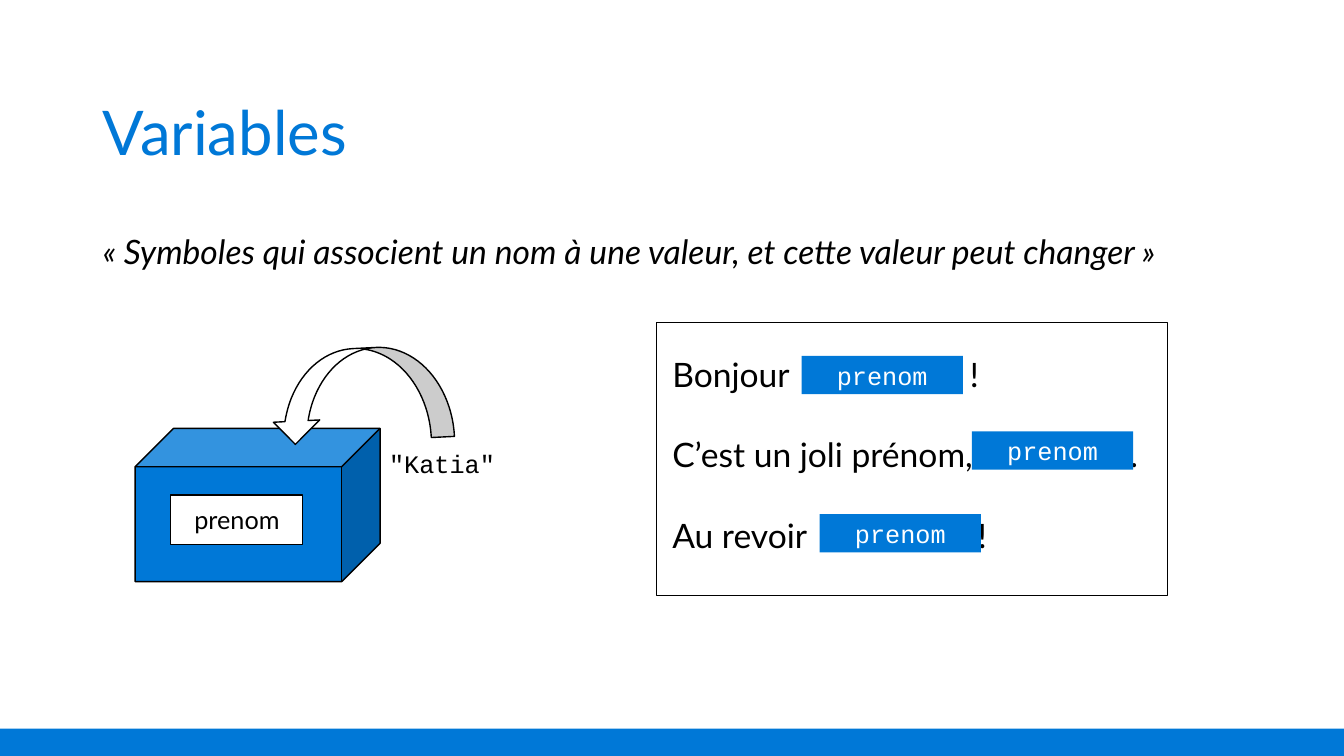
from lxml.etree import SubElement
from pptx import Presentation
from pptx.dml.color import RGBColor
from pptx.enum.shapes import MSO_SHAPE
from pptx.enum.text import MSO_ANCHOR, MSO_AUTO_SIZE, PP_ALIGN
from pptx.oxml.ns import qn
from pptx.util import Inches, Pt

BLUE, BLACK, WHITE = "0078D7", "000000", "FFFFFF"
LATO, MONO = "Lato", "Courier New"


def color(value):
    return RGBColor.from_string(value)


def format_paragraph(paragraph, size, font_name, text_color, italic=False):
    for run in paragraph.runs:
        run.font.size = Pt(size)
        run.font.name = font_name
        run.font.italic = italic
        run.font.color.rgb = color(text_color)


def fill_placeholder(placeholder, box, text, size, text_color, anchor, italic=False):
    placeholder.left, placeholder.top, placeholder.width, placeholder.height = map(Inches, box)
    frame = placeholder.text_frame
    frame.text = text
    frame.auto_size = MSO_AUTO_SIZE.NONE
    frame.vertical_anchor = anchor
    paragraph = frame.paragraphs[0]
    paragraph.alignment = PP_ALIGN.LEFT
    paragraph.line_spacing = 0.9
    format_paragraph(paragraph, size, LATO, text_color, italic)
    return paragraph


def remove_bullet(paragraph):
    properties = paragraph._p.get_or_add_pPr()
    properties.set("marL", "0")
    properties.set("indent", "0")
    SubElement(properties, qn("a:buNone"))


def add_tab_stop(paragraph, position):
    tabs = SubElement(paragraph._p.get_or_add_pPr(), qn("a:tabLst"))
    SubElement(tabs, qn("a:tab"), pos=str(Inches(position)), algn="l")


def add_figure(slide, kind, box, fill, outlined=True, rotation=0):
    shape = slide.shapes.add_shape(kind, *map(Inches, box))
    shape.shadow.inherit = False
    shape.rotation = rotation
    shape.fill.solid()
    shape.fill.fore_color.rgb = color(fill)
    if outlined:
        shape.line.color.rgb = color(BLACK)
        shape.line.width = Pt(1)
    else:
        shape.line.fill.background()
    return shape


def add_text(slide, box, text, size, font_name):
    frame = slide.shapes.add_textbox(*map(Inches, box)).text_frame
    frame.word_wrap = True
    frame.text = text
    for paragraph in frame.paragraphs:
        format_paragraph(paragraph, size, font_name, BLACK)
    return frame


def add_variable_tag(slide, left, top):
    tag = add_figure(slide, MSO_SHAPE.RECTANGLE, (left, top, 1.6, 0.38), BLUE, outlined=False)
    frame = tag.text_frame
    frame.text = "prenom"
    frame.vertical_anchor = MSO_ANCHOR.MIDDLE
    frame.paragraphs[0].alignment = PP_ALIGN.CENTER
    format_paragraph(frame.paragraphs[0], 18, MONO, WHITE)


def add_box_drawing(slide):
    add_figure(slide, MSO_SHAPE.CUBE, (1.34, 4.25, 2.43, 1.52), BLUE)
    add_figure(slide, MSO_SHAPE.RECTANGLE, (1.69, 4.91, 1.31, 0.49), WHITE)
    add_text(slide, (1.83, 4.95, 1.34, 0.4), "prenom", 18, LATO)
    add_figure(slide, MSO_SHAPE.CURVED_RIGHT_ARROW, (3.12, 3.01, 0.92, 1.81), WHITE, rotation=87.1)
    add_text(slide, (3.76, 4.4, 1.51, 0.4), '"Katia"', 18, MONO)


def add_message(slide):
    # Each line: words before and after the tag, tab stop, tag position
    lines = [
        ("Bonjour\t!", 2.95, 7.95, 3.53),
        ("C’est un joli prénom,\t.", 4.54, 9.64, 4.28),
        ("Au revoir\t!", 3.03, 8.13, 5.1),
    ]
    add_figure(slide, MSO_SHAPE.RECTANGLE, (6.51, 3.2, 5.07, 2.71), WHITE)
    text = "\n".join(line[0] for line in lines)
    frame = add_text(slide, (6.57, 3.46, 5, 2.93), text, 24, LATO)
    for paragraph, (_, tab_stop, left, top) in zip(frame.paragraphs, lines):
        if paragraph.text != lines[0][0]:
            paragraph.space_before = Pt(28.8)
        add_tab_stop(paragraph, tab_stop)
        add_variable_tag(slide, left, top)


def main():
    presentation = Presentation()
    presentation.slide_width = Inches(13.33)
    presentation.slide_height = Inches(7.5)
    slide = presentation.slides.add_slide(presentation.slide_layouts[1])

    # Title and definition
    fill_placeholder(slide.shapes.title, (0.92, 0.62, 11.5, 1.45), "Variables",
                     44, BLUE, MSO_ANCHOR.MIDDLE)
    definition = fill_placeholder(
        slide.placeholders[1], (0.92, 2.29, 11.5, 0.66),
        "« Symboles qui associent un nom à une valeur, et cette valeur peut changer »",
        24, BLACK, MSO_ANCHOR.TOP, italic=True)
    definition.space_before = Pt(10)
    remove_bullet(definition)

    # Bottom band
    add_figure(slide, MSO_SHAPE.RECTANGLE, (0, 7.23, 13.33, 0.27), BLUE, outlined=False)

    # Box holding the value, and message using it
    add_box_drawing(slide)
    add_message(slide)

    presentation.save("out.pptx")


if __name__ == "__main__":
    main()
